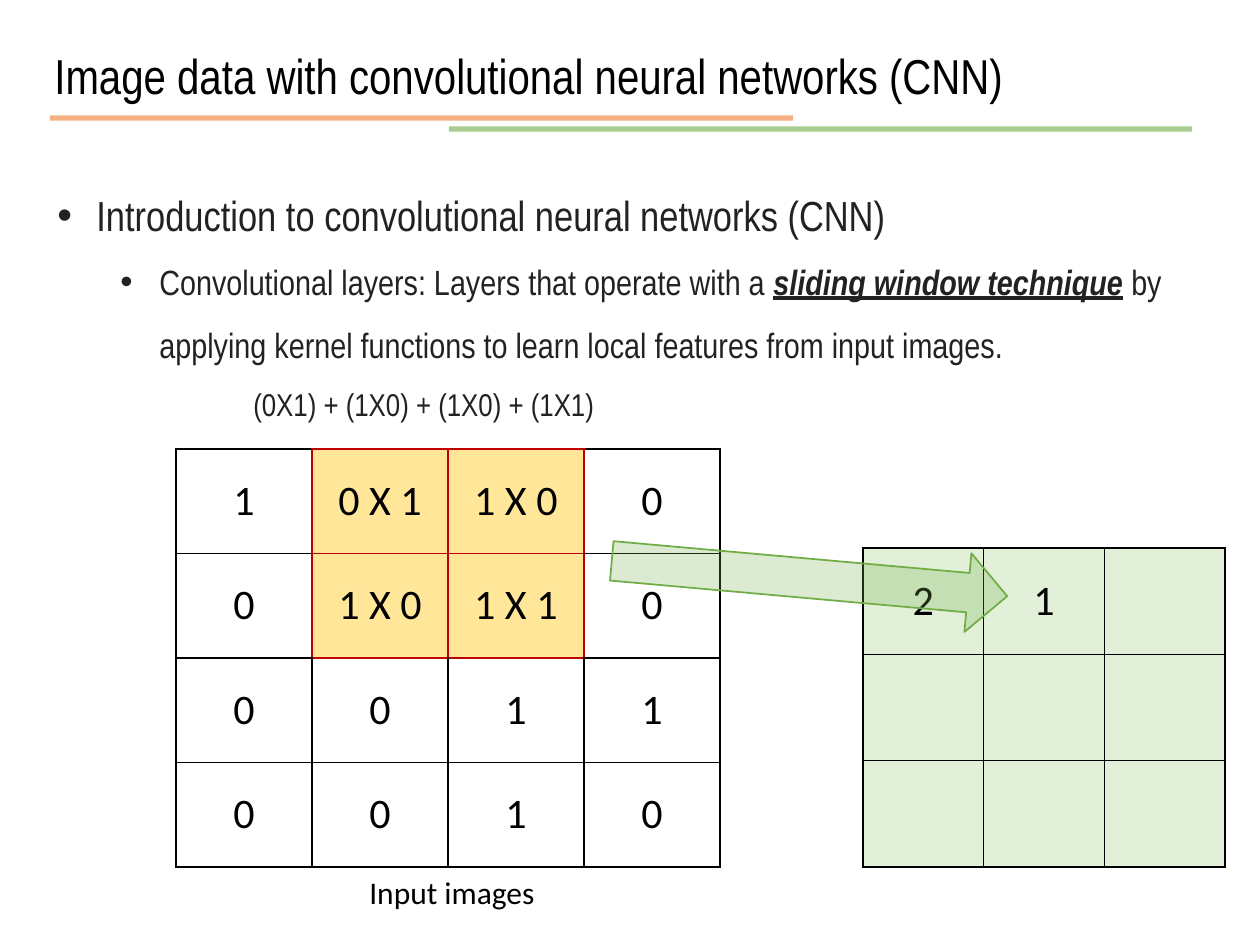
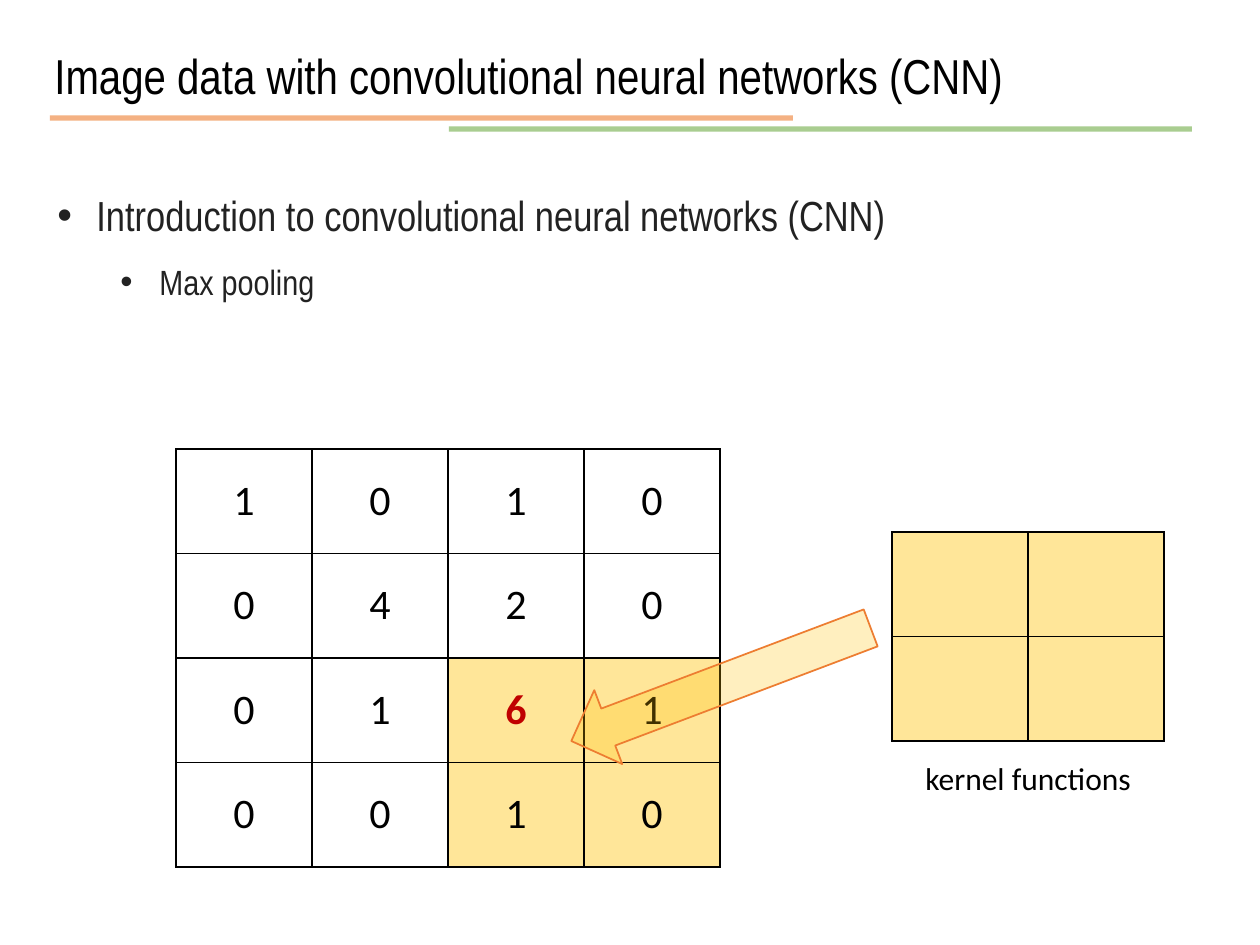
import pptx
import pptx.util
import pptx.dml.color
import pptx.enum.shapes
import pptx.enum.text
import pptx.oxml
import pptx.oxml.ns
import lxml.etree

PX = 914400 / 126
COLORS = {
    "black": "000000", "ink": "222222", "red": "C00000", "orange": "ED7D31",
    "green": "70AD47", "amber": "FFC000", "kernel": "FFE699", "feature": "E2F0D9",
}
RGB = {name: pptx.dml.color.RGBColor.from_string(code) for name, code in COLORS.items()}
qn = pptx.oxml.ns.qn


def fade(shape, percent):
    color = shape.element.spPr.find(".//" + qn("a:srgbClr"))
    lxml.etree.SubElement(color, qn("a:alpha"), val=str(percent * 1000))


def add_grid(slide, box, values, fills, framed, red_bold):
    size = len(values)
    grid = slide.shapes.add_table(size, size, *[round(n * PX) for n in box]).table
    grid.first_row = grid.horz_banding = False
    for row in range(size):
        for col in range(size):
            cell = grid.cell(row, col)
            neighbours = {"L": (row, col - 1), "R": (row, col + 1),
                          "T": (row - 1, col), "B": (row + 1, col)}
            for side, neighbour in neighbours.items():
                edge = "red" if framed & {(row, col), neighbour} else "black"
                cell._tc.get_or_add_tcPr().append(pptx.oxml.parse_xml(
                    f'<a:ln{side} {pptx.oxml.ns.nsdecls("a")} w="12700"><a:solidFill>'
                    f'<a:srgbClr val="{COLORS[edge]}"/></a:solidFill></a:ln{side}>'))
            if (row, col) in fills:
                cell.fill.solid()
                cell.fill.fore_color.rgb = RGB[fills[row, col]]
            else:
                cell.fill.background()
            cell.vertical_anchor = pptx.enum.text.MSO_ANCHOR.MIDDLE
            cell.text_frame.text = values[row][col]
            paragraph = cell.text_frame.paragraphs[0]
            paragraph.alignment = pptx.enum.text.PP_ALIGN.CENTER
            for run in paragraph.runs:
                run.font.size = pptx.util.Pt(24)
                run.font.name = "Calibri"
                run.font.bold = (row, col) in red_bold
                run.font.color.rgb = RGB["red" if (row, col) in red_bold else "black"]


sliding_window = {(row, col) for row in (0, 1) for col in (1, 2)}
pooling_window = {(row, col) for row in (2, 3) for col in (2, 3)}
feature_cells = {(row, col) for row in range(3) for col in range(3)}
kernel_cells = {(row, col) for row in range(2) for col in range(2)}
image_box = (176, 449, 544, 418)

title = ("Image data with convolutional neural networks (CNN)",
         (42, 10, 1177, 91), "Arial Narrow", 28, "black", 1.5)
topic = ["Introduction to convolutional neural networks (CNN)"]
rules = [("orange", 50, 118), ("green", 449, 129)]
rule_length = 743

lessons = [
    {
        "detail": ["Convolutional layers: Layers that operate with a ",
                   "sliding window technique",
                   " by applying kernel functions to learn local features from input images."],
        "bullets_height": 208,
        "grids": [
            (image_box,
             [["1", "0 X 1", "1 X 0", "0"], ["0", "1 X 0", "1 X 1", "0"],
              ["0", "0", "1", "1"], ["0", "0", "1", "0"]],
             dict.fromkeys(sliding_window, "kernel"), sliding_window, set()),
            ((863, 548, 362, 319),
             [["2", "1", ""], ["", "", ""], ["", "", ""]],
             dict.fromkeys(feature_cells, "feature"), set(), set()),
        ],
        "labels": [
            ("Input images", (357, 867, 251, 50), "Calibri", 18, "black", 1),
            ("(0X1) + (1X0) + (1X0) + (1X1)", (241, 379, 630, 50),
             "Arial Narrow", 18, "ink", 1),
        ],
        "arrow": ((611, 539, 397, 79), 185.1, "green", "green"),
    },
    {
        "detail": ["Max pooling"],
        "bullets_height": 145,
        "grids": [
            (image_box,
             [["1", "0", "1", "0"], ["0", "4", "2", "0"],
              ["0", "1", "6", "1"], ["0", "0", "1", "0"]],
             dict.fromkeys(pooling_window, "kernel"), set(), {(2, 2)}),
            ((892, 532, 272, 209), [["", ""], ["", ""]],
             dict.fromkeys(kernel_cells, "kernel"), set(), set()),
        ],
        "labels": [("kernel functions", (913, 753, 251, 50), "Calibri", 18, "black", 1)],
        "arrow": ((561, 645, 320, 79), 339.3, "amber", "orange"),
    },
]

deck = pptx.Presentation()
deck.slide_width = round(1260 * PX)
deck.slide_height = round(945 * PX)

for lesson in lessons:
    slide = deck.slides.add_slide(deck.slide_layouts[6])

    for grid in lesson["grids"]:
        add_grid(slide, *grid)

    for color, left, top in rules:
        rule = slide.shapes.add_connector(
            pptx.enum.shapes.MSO_CONNECTOR.STRAIGHT,
            *[round(n * PX) for n in (left, top, left + rule_length, top)])
        rule.line.width = pptx.util.Pt(3)
        rule.line.color.rgb = RGB[color]
        fade(rule, 60)
        lxml.etree.SubElement(rule.element.spPr, qn("a:effectLst"))

    bullets = slide.shapes.add_textbox(
        *[round(n * PX) for n in (45, 158, 1205, lesson["bullets_height"])]).text_frame
    bullets.word_wrap = True
    for level, (parts, size, margin) in enumerate([(topic, 24, 39), (lesson["detail"], 20, 102)]):
        bullet = bullets.add_paragraph() if level else bullets.paragraphs[0]
        bullet.level = level
        bullet.line_spacing = 1.5
        properties = bullet._p.get_or_add_pPr()
        properties.set("marL", str(round(margin * PX)))
        properties.set("indent", str(round(-39 * PX)))
        lxml.etree.SubElement(properties, qn("a:buFont"), typeface="Arial")
        lxml.etree.SubElement(properties, qn("a:buChar"), char="•")
        for position, part in enumerate(parts):
            run = bullet.add_run()
            run.text = part
            run.font.size = pptx.util.Pt(size)
            run.font.name = "Arial Narrow"
            run.font.color.rgb = RGB["ink"]
            if position == 1:
                run.font.bold = run.font.italic = run.font.underline = True

    for text, box, font, size, color, spacing in [title] + lesson["labels"]:
        label = slide.shapes.add_textbox(*[round(n * PX) for n in box]).text_frame
        label.word_wrap = True
        label.text = text
        label.paragraphs[0].line_spacing = spacing
        run = label.paragraphs[0].runs[0]
        run.font.size = pptx.util.Pt(size)
        run.font.name = font
        run.font.color.rgb = RGB[color]

    box, angle, fill, outline = lesson["arrow"]
    arrow = slide.shapes.add_shape(
        pptx.enum.shapes.MSO_SHAPE.LEFT_ARROW, *[round(n * PX) for n in box])
    arrow.rotation = angle
    arrow.shadow.inherit = False
    arrow.fill.solid()
    arrow.fill.fore_color.rgb = RGB[fill]
    fade(arrow, 25)
    arrow.line.color.rgb = RGB[outline]
    arrow.line.width = pptx.util.Pt(1)

deck.save("out.pptx")
